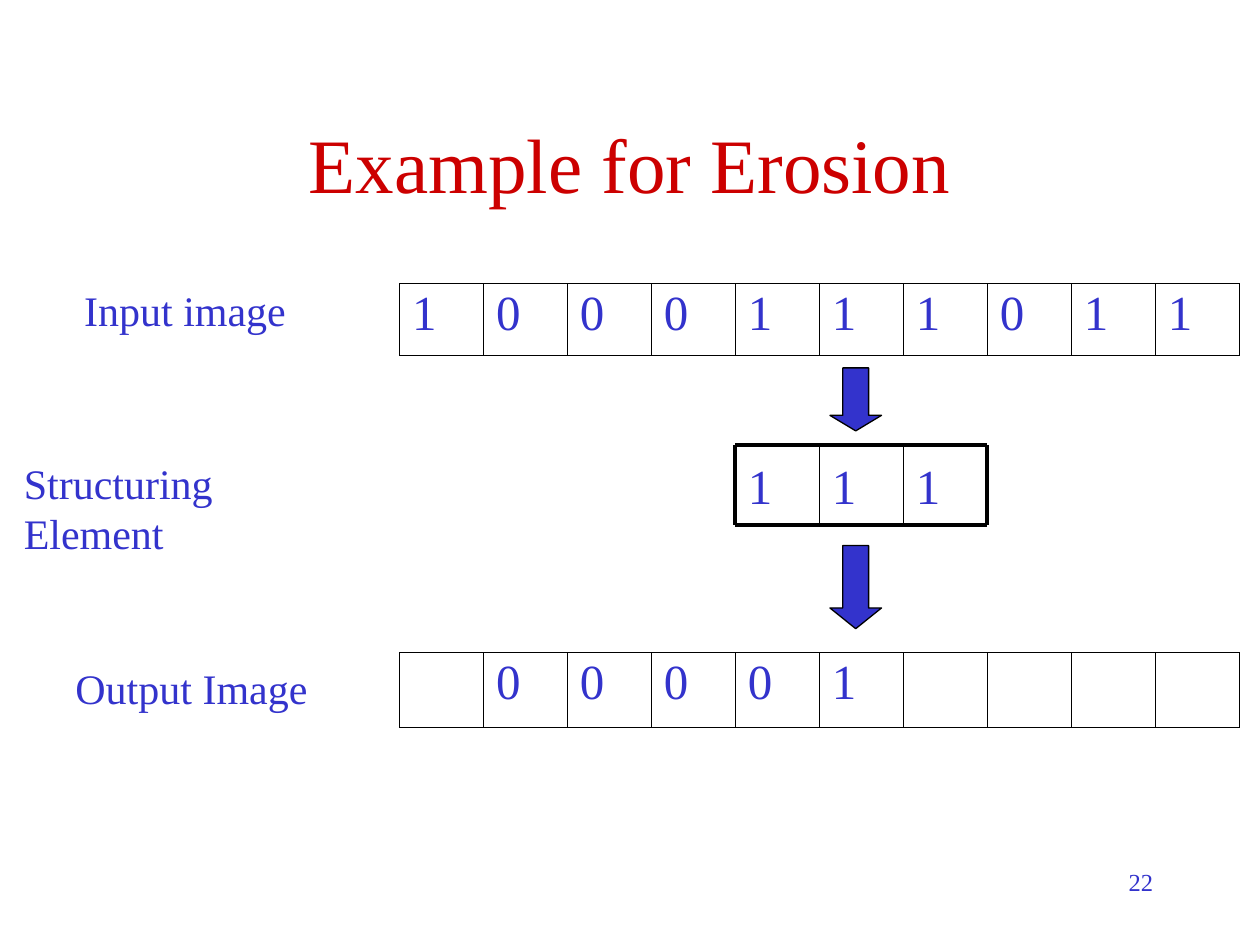
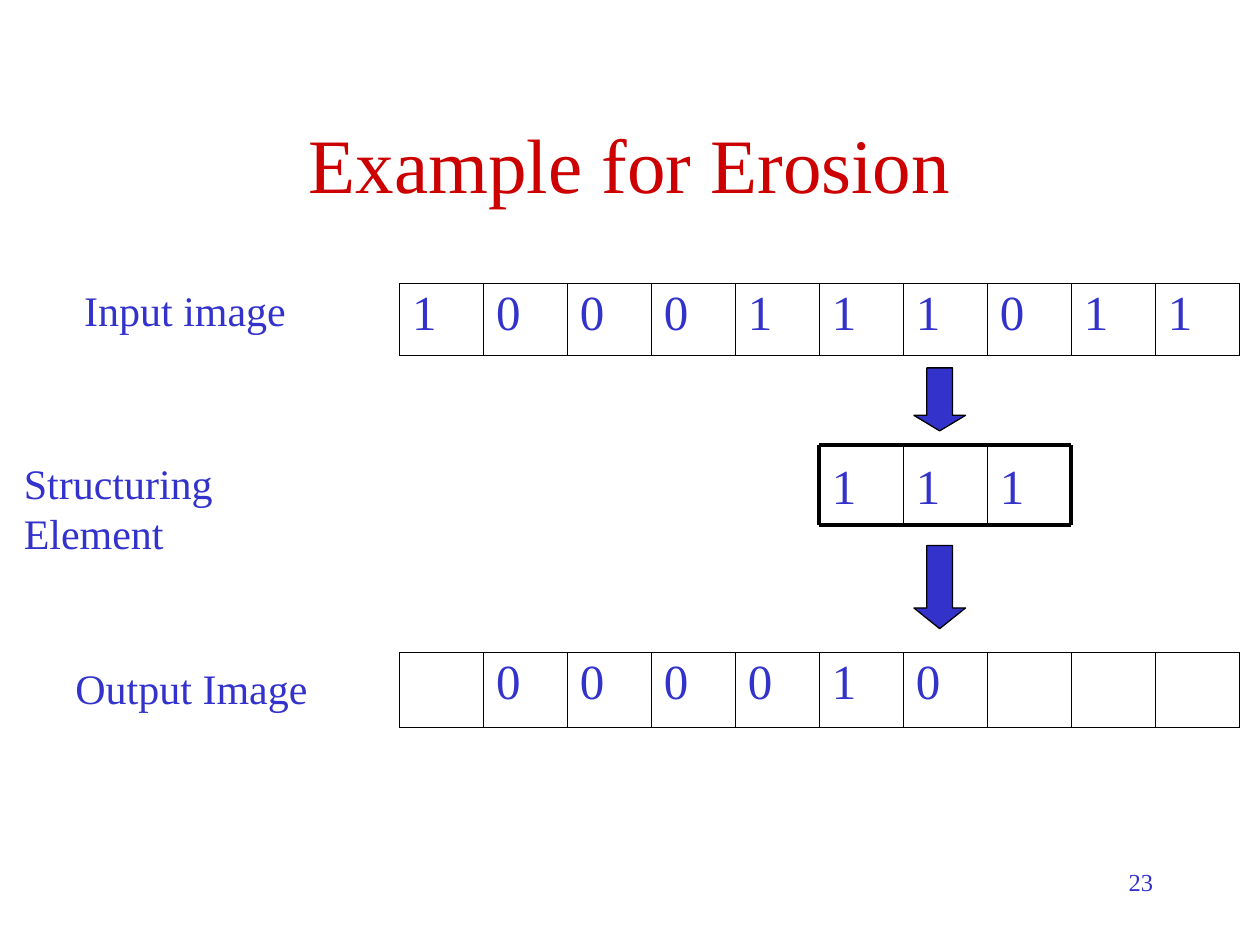
"""Build two slides that step a structuring element through an erosion example."""
from lxml import etree
from pptx import Presentation
from pptx import util as u
from pptx.dml.color import RGBColor
from pptx.enum import shapes, text
from pptx.oxml import ns

COLORS = {"title": "CC0000", "body": "3333CC", "line": "000000"}
FONT = "Times New Roman"
INPUT = [1, 0, 0, 0, 1, 1, 1, 0, 1, 1]
ELEMENT_SIZE = 3
GRID_LEFT = 3.17
CELL_WIDTH = 2 / 3
ELEMENT_TOP, ELEMENT_HEIGHT = 3.53, 0.64
LABELS = [
    ("Input image", 0.57, 2.21, 1.8),
    ("Structuring Element", 0.09, 3.58, 2.89),
    ("Output Image", 0.5, 5.21, 2.04),
]
ARROWS = [(2.92, 0.5, 0.3), (4.33, 0.66, 0.4)]
STEPS = [(22, 5), (23, 6)]


def style(paragraph, size, color="body", align=text.PP_ALIGN.LEFT):
    paragraph.alignment = align
    paragraph.font.name = FONT
    paragraph.font.size = u.Pt(size)
    paragraph.font.color.rgb = RGBColor.from_string(COLORS[color])


def add_text(slide, words, left, top, width, height, size, align=text.PP_ALIGN.LEFT):
    box = slide.shapes.add_textbox(*map(u.Inches, (left, top, width, height)))
    box.text_frame.word_wrap = True
    box.text_frame.text = words
    style(box.text_frame.paragraphs[0], size, align=align)
    return box.text_frame


presentation = Presentation()
presentation.slide_width = u.Inches(10)
presentation.slide_height = u.Inches(7.5)

for number, center in STEPS:
    slide = presentation.slides.add_slide(presentation.slide_layouts[5])
    title = slide.shapes.title
    title.left, title.top, title.width, title.height = map(u.Inches, (0.75, 0.67, 8.5, 1.25))
    title.text_frame.text = "Example for Erosion"
    title.text_frame.vertical_anchor = text.MSO_ANCHOR.MIDDLE
    style(title.text_frame.paragraphs[0], 44, "title", text.PP_ALIGN.CENTER)
    add_text(slide, str(number), 7.17, 6.83, 2.08, 0.5, 14, text.PP_ALIGN.RIGHT)

    for words, left, top, width in LABELS:
        frame = add_text(slide, words, left, top, width, 0.5, 24)
        frame.word_wrap = False
        frame.auto_size = text.MSO_AUTO_SIZE.SHAPE_TO_FIT_TEXT

    eroded = [int(all(INPUT[i - 1:i + 2])) for i in range(1, center + 1)]
    output = [""] + eroded + [""] * (len(INPUT) - center - 1)

    for values, top, height in [(INPUT, 2.25, 0.57), (output, 5.18, 0.59)]:
        frame = slide.shapes.add_table(
            1, len(values), u.Inches(GRID_LEFT), u.Inches(top),
            u.Inches(CELL_WIDTH * len(values)), u.Inches(height))
        table = frame.table
        table.first_row = table.horz_banding = False
        for column, value in enumerate(values):
            table.columns[column].width = u.Inches(CELL_WIDTH)
            cell = table.cell(0, column)
            cell.text = str(value)
            paragraph = cell.text_frame.paragraphs[0]
            paragraph.line_spacing = 0.93
            style(paragraph, 28)
            widths = {
                "lnL": 0.5 if column == 0 else 0.23,
                "lnR": 0.5 if column == len(values) - 1 else 0.23,
                "lnT": 0.5,
                "lnB": 0.5,
            }
            properties = cell._tc.get_or_add_tcPr()
            for side, width in widths.items():
                border = etree.SubElement(properties, ns.qn(f"a:{side}"), w=str(u.Pt(width)))
                fill = etree.SubElement(border, ns.qn("a:solidFill"))
                etree.SubElement(fill, ns.qn("a:srgbClr"), val=COLORS["line"])
            cell.fill.background()

    element_left = GRID_LEFT + (center - 1) * CELL_WIDTH
    element_right = element_left + ELEMENT_SIZE * CELL_WIDTH
    element_bottom = ELEMENT_TOP + ELEMENT_HEIGHT
    edges = [(element_left, y, element_right, y, 2.25) for y in (ELEMENT_TOP, element_bottom)]
    for column in range(ELEMENT_SIZE + 1):
        x = element_left + column * CELL_WIDTH
        weight = 2.25 if column in (0, ELEMENT_SIZE) else 1
        edges.append((x, ELEMENT_TOP, x, element_bottom, weight))
        if column < ELEMENT_SIZE:
            frame = add_text(slide, "1", x, ELEMENT_TOP, CELL_WIDTH, ELEMENT_HEIGHT, 28)
            frame.vertical_anchor = text.MSO_ANCHOR.MIDDLE

    for *ends, weight in edges:
        edge = slide.shapes.add_connector(
            shapes.MSO_CONNECTOR.STRAIGHT, *map(u.Inches, ends))
        edge.line.color.rgb = RGBColor.from_string(COLORS["line"])
        edge.line.width = u.Pt(weight)
        etree.SubElement(edge._element.spPr, ns.qn("a:effectLst"))

    for top, height, head in ARROWS:
        arrow = slide.shapes.add_shape(
            shapes.MSO_SHAPE.DOWN_ARROW,
            *map(u.Inches, (element_left + 0.75, top, 0.41, height)))
        arrow.adjustments[0] = 0.5
        arrow.adjustments[1] = head
        arrow.shadow.inherit = False
        arrow.fill.solid()
        arrow.fill.fore_color.rgb = RGBColor.from_string(COLORS["body"])
        arrow.line.color.rgb = RGBColor.from_string(COLORS["line"])
        arrow.line.width = u.Pt(0.75)

presentation.save("out.pptx")
